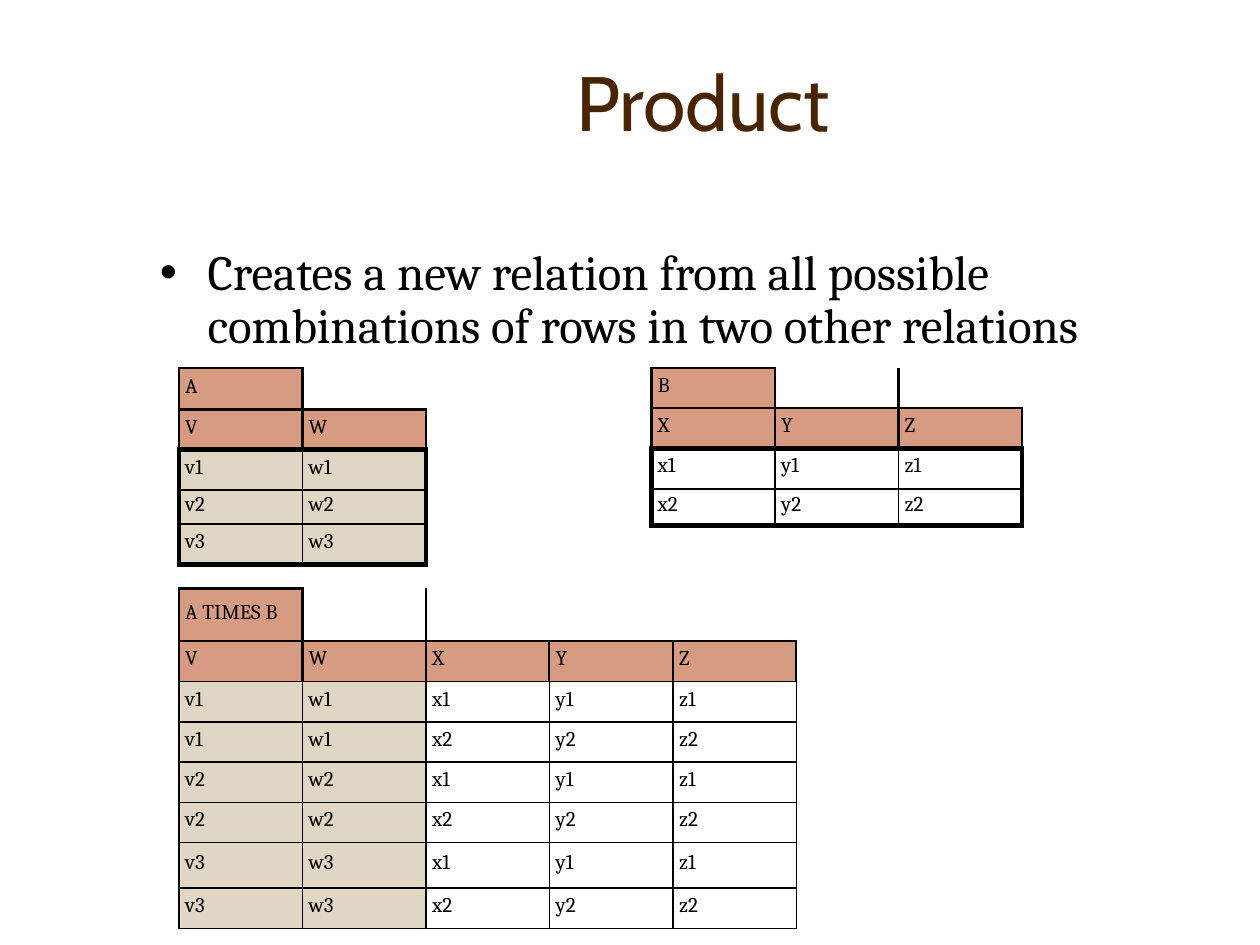
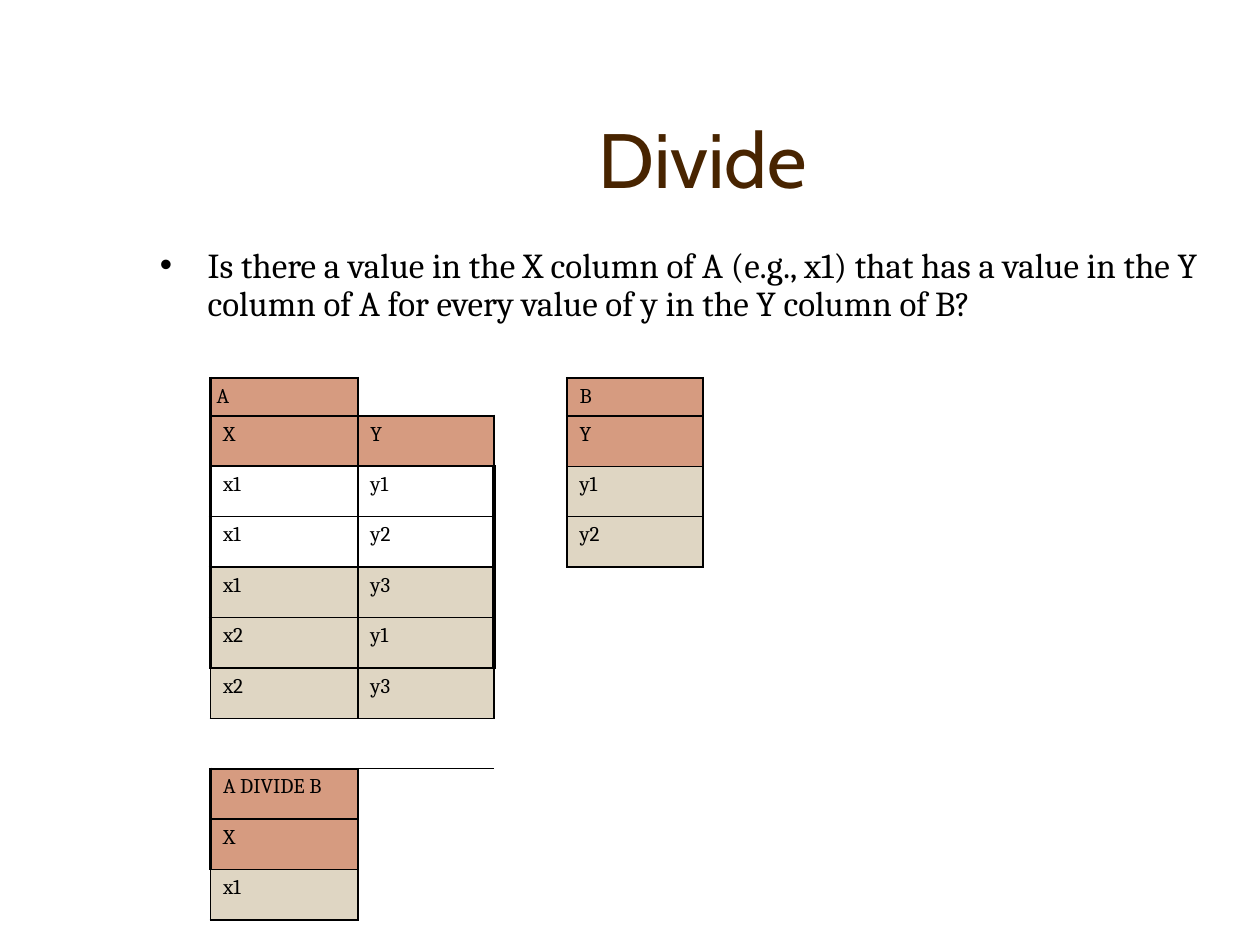
from itertools import product
from lxml.etree import SubElement
from pptx import Presentation
from pptx.dml.color import RGBColor
from pptx.enum.text import MSO_ANCHOR, PP_ALIGN
from pptx.oxml.ns import qn
from pptx.util import Inches, Pt

COLORS = {"title": "482400", "text": "000000", "head": "D69B80",
          "tint": "DFD6C3", "plain": "FFFFFF"}
TITLE_FONT, BODY_FONT = "Cabin", "Cambria"
NO_GRID_STYLE = "{2D5ABB26-0587-4C30-8999-92F81FD0307C}"
THIN, MEDIUM = 1, 1.5

A_ROWS = [("v1", "w1"), ("v2", "w2"), ("v3", "w3")]
B_ROWS = [("x1", "y1", "z1"), ("x2", "y2", "z2")]

# Each row: kind, number of tinted leading columns, values
SLIDES = [
    {
        "title": "Product", "title_height": 0.75, "title_anchor": MSO_ANCHOR.MIDDLE,
        "bullet": "Creates a new relation from all possible combinations of rows in two other relations",
        "bullet_box": (1.17, 1.92, 8.5, 1), "bullet_size": 28,
        "cells": {"anchor": MSO_ANCHOR.MIDDLE, "line": 0.6, "pad": 0.05},
        "tables": [
            {"at": (1.42, 2.92), "height": 1.57, "cols": [0.98] * 2,
             "heights": [0.33, 0.32, 0.32, 0.27, 0.32], "frame": (3, 3, 3),
             "rows": [("head", 0, ("A", "")), ("head", 0, ("V", "W"))]
             + [("body", 2, row) for row in A_ROWS]},
            {"at": (5.17, 2.92), "height": 1.25, "cols": [0.98] * 3,
             "heights": [0.32, 0.32, 0.32, 0.29], "frame": (3, 3, 3),
             "rows": [("head", 0, ("B", "", "")), ("head", 0, ("X", "Y", "Z"))]
             + [("body", 0, row) for row in B_ROWS]},
            {"at": (1.42, 4.67), "height": 2.7, "cols": [0.98] * 5,
             "heights": [0.42] + [0.32] * 5 + [0.36, 0.32],
             "rows": [("head", 0, ("A TIMES B", "", "", "", "")),
                      ("head", 0, ("V", "W", "X", "Y", "Z"))]
             + [("loose", 2, a + b) for a, b in product(A_ROWS, B_ROWS)]},
        ],
    },
    {
        "title": "Divide", "title_height": 1.25, "title_anchor": MSO_ANCHOR.BOTTOM,
        "bullet": "Is there a value in the X column of A (e.g., x1) that has a value in the Y "
                  "column of A for every value of y in the Y column of B?",
        "bullet_box": (1.17, 1.92, 8.66, 0.73), "bullet_size": 20,
        "cells": {"pad": 0.1},
        "tables": [
            {"at": (1.67, 3), "height": 4.34, "cols": [1.17, 1.08],
             "heights": [0.2] + [0.4] * 10, "frame": (2.25, 1.5, 1), "corner_pad": 0.05,
             "rows": [("head", 0, ("A", "")), ("head", 0, ("X", "Y")),
                      ("body", 0, ("x1", "y1")), ("body", 0, ("x1", "y2")),
                      ("body", 2, ("x1", "y3")), ("body", 2, ("x2", "y1")),
                      ("loose", 2, ("x2", "y3")), ("gap", 0, ("", "")),
                      ("head", 0, ("A DIVIDE B", "")), ("head", 0, ("X", "")),
                      ("loose", 1, ("x1", ""))]},
            {"at": (4.5, 3), "height": 1.51, "cols": [1.08],
             "heights": [0.19] + [0.4] * 3,
             "rows": [("head", 0, ("B",)), ("head", 0, ("Y",)),
                      ("loose", 1, ("y1",)), ("loose", 1, ("y2",))]},
        ],
    },
]


def rgb(name):
    return RGBColor.from_string(COLORS[name])


def write(tf, text, size=12, font=BODY_FONT, color="text", align=PP_ALIGN.LEFT,
          line=None, bullet=None):
    p = tf.paragraphs[0]
    p.alignment = align
    if line:
        p.line_spacing = line
    if bullet:
        pPr = p._p.get_or_add_pPr()
        pPr.set("marL", str(Inches(0.38)))
        pPr.set("indent", str(-Inches(0.38)))
        SubElement(pPr, qn("a:buFont")).set("typeface", "Arial")
        SubElement(pPr, qn("a:buChar")).set("char", bullet)
    if not text:
        SubElement(p._p, qn("a:endParaRPr")).set("sz", str(size * 100))
        return
    r = p.add_run()
    r.text = text
    r.font.size, r.font.name = Pt(size), font
    r.font.color.rgb = rgb(color)


def add_text(s, box, text, anchor=MSO_ANCHOR.TOP, **style):
    tf = s.shapes.add_textbox(*map(Inches, box)).text_frame
    tf.word_wrap = True
    tf.vertical_anchor = anchor
    write(tf, text, **style)


def edges(rows, r, c, frame):
    kind, _, values = rows[r]
    if not values[c]:
        near = {"L": (r, c - 1, "R"), "T": (r - 1, c, "B"), "B": (r + 1, c, "T")}
        return {side: edges(rows, y, x, frame)[facing]
                for side, (y, x, facing) in near.items()
                if 0 <= y < len(rows) and x >= 0 and rows[y][2][x]}
    sides, top, bottom = frame
    above = rows[r - 1][0] if r else None
    below = rows[r + 1][0] if r + 1 < len(rows) else None
    if kind == "head":
        under = {"body": top, "loose": THIN}.get(below, MEDIUM)
        return {"L": MEDIUM, "R": MEDIUM, "T": MEDIUM, "B": under}
    if kind == "loose":
        return dict.fromkeys("LRTB", THIN)
    return {"L": THIN if c else sides,
            "R": sides if c == len(values) - 1 else THIN,
            "T": top if above == "head" else THIN,
            "B": THIN if below == "body" else bottom}


def draw_borders(cell, widths):
    tcPr = cell._tc.get_or_add_tcPr()
    for side in "LRTB":
        if side in widths:
            ln = SubElement(tcPr, qn(f"a:ln{side}"), w=str(Pt(widths[side])))
            fill = SubElement(ln, qn("a:solidFill"))
            SubElement(fill, qn("a:srgbClr")).set("val", COLORS["text"])


def add_relation(s, spec_table, pad, anchor=MSO_ANCHOR.TOP, line=None):
    rows, cols = spec_table["rows"], spec_table["cols"]
    frame = spec_table.get("frame", (THIN, THIN, THIN))
    size = (sum(cols), spec_table["height"])
    gf = s.shapes.add_table(len(rows), len(cols), *map(Inches, spec_table["at"] + size))
    table = gf.table
    table.first_row = table.horz_banding = False
    table._tbl.tblPr.find(qn("a:tableStyleId")).text = NO_GRID_STYLE
    for column, width in zip(table.columns, cols):
        column.width = Inches(width)
    for row, height in zip(table.rows, spec_table["heights"]):
        row.height = Inches(height)
    gf.height = Inches(spec_table["height"])

    for r, (kind, tinted, values) in enumerate(rows):
        for c, text in enumerate(values):
            cell = table.cell(r, c)
            draw_borders(cell, edges(rows, r, c, frame))
            side_pad = spec_table.get("corner_pad", pad) if r == c == 0 else pad
            cell.margin_left = cell.margin_right = Inches(side_pad)
            cell.margin_top = cell.margin_bottom = Inches(0.05)
            cell.vertical_anchor = anchor
            if text:
                cell.fill.solid()
                body_fill = "tint" if c < tinted else "plain"
                cell.fill.fore_color.rgb = rgb("head" if kind == "head" else body_fill)
            else:
                cell.fill.background()
            write(cell.text_frame, text, line=line)


def main():
    prs = Presentation()
    prs.slide_width, prs.slide_height = Inches(10), Inches(7.5)
    for content in SLIDES:
        s = prs.slides.add_slide(prs.slide_layouts[6])
        add_text(s, (1.33, 0.42, 8.5, content["title_height"]), content["title"],
                 anchor=content["title_anchor"], size=44, font=TITLE_FONT,
                 color="title", align=PP_ALIGN.CENTER)
        add_text(s, content["bullet_box"], content["bullet"],
                 size=content["bullet_size"], line=0.9, bullet="•")
        for relation in content["tables"]:
            add_relation(s, relation, **content["cells"])
    prs.save("out.pptx")


if __name__ == "__main__":
    main()
